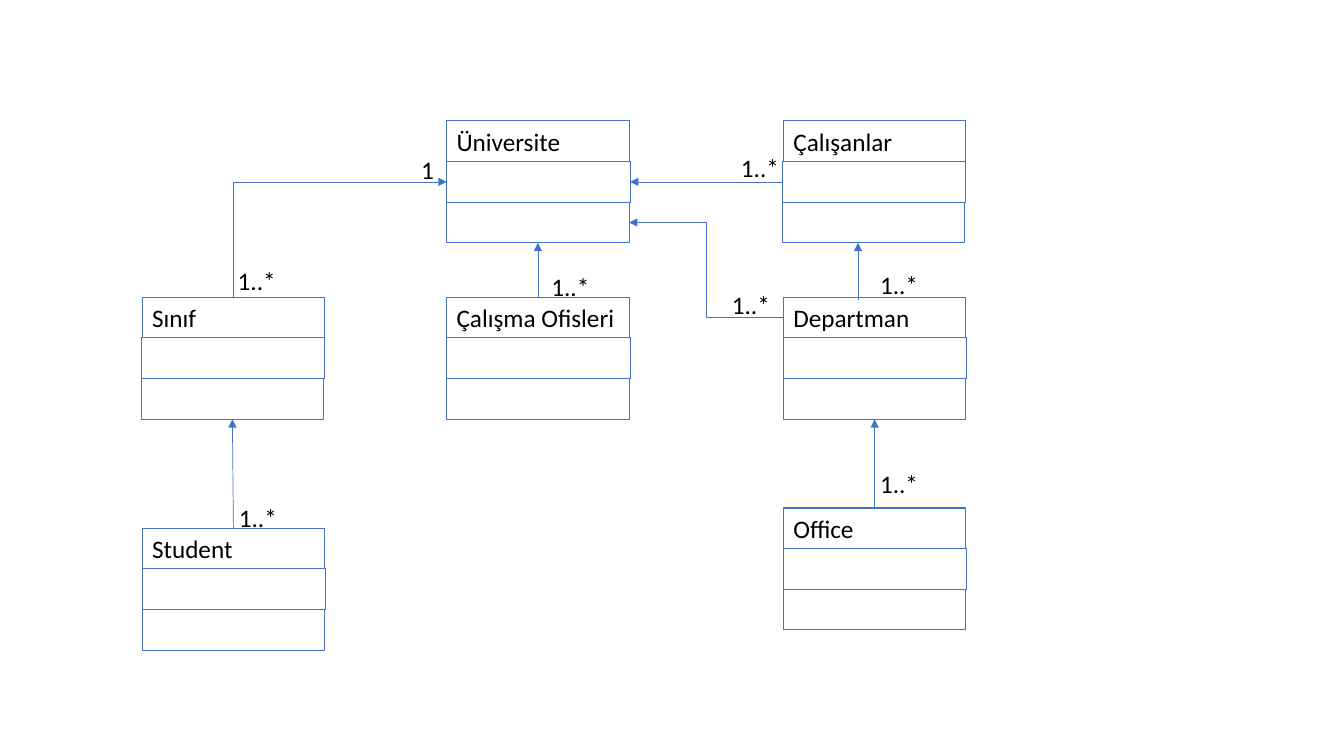
import pptx
import pptx.dml.color
import pptx.enum.shapes
import pptx.enum.text
import pptx.oxml.ns
import pptx.util
import lxml.etree
from dataclasses import dataclass

Inches = pptx.util.Inches
Pt = pptx.util.Pt
qn = pptx.oxml.ns.qn
CONNECTOR = pptx.enum.shapes.MSO_CONNECTOR


@dataclass(frozen=True)
class Theme:
    font: str = "Calibri"
    size: float = 18
    text: str = "000000"
    line: str = "4472C4"
    box_line: float = 0.75
    link_line: float = 0.5


THEME = Theme()
TOP, LEFT, BOTTOM, RIGHT = range(4)
HEADER, ATTRIBUTES, METHODS = range(3)
CLASS_HEIGHT = 1.21
HEADER_WIDTH = 1.81
ATTRIBUTES_WIDTH = 1.82

# name, header left, left of the two lower rows, top
CLASSES = [
    ("Üniversite", 4.43, 4.43, 1.2),
    ("Sınıf", 1.41, 1.4, 2.95),
    ("Çalışma Ofisleri", 4.43, 4.43, 2.95),
    ("Departman", 7.77, 7.77, 2.95),
    ("Office", 7.77, 7.77, 5.04),
    ("Çalışanlar", 7.77, 7.76, 1.2),
    ("Student", 1.41, 1.41, 5.24),
]

# connector kind, (class, row, side) at the start, the same at the arrowhead
LINKS = [
    (CONNECTOR.STRAIGHT, ("Student", HEADER, TOP), ("Sınıf", METHODS, BOTTOM)),
    (CONNECTOR.STRAIGHT, ("Çalışanlar", ATTRIBUTES, LEFT), ("Üniversite", ATTRIBUTES, RIGHT)),
    (CONNECTOR.STRAIGHT, ("Çalışma Ofisleri", HEADER, TOP), ("Üniversite", METHODS, BOTTOM)),
    (CONNECTOR.ELBOW, ("Departman", HEADER, LEFT), ("Üniversite", METHODS, RIGHT)),
    (CONNECTOR.STRAIGHT, ("Office", HEADER, TOP), ("Departman", METHODS, BOTTOM)),
]
CORNER_LINK = (("Sınıf", HEADER, TOP), ("Üniversite", ATTRIBUTES, LEFT))
DEPARTMENT_LINK = (8.51, 2.98, 8.51, 2.41)

# text, left, top, width
MULTIPLICITIES = [
    ("1", 4.08, 1.48, 0.33),
    ("1..*", 2.26, 2.58, 0.64),
    ("1..*", 2.27, 4.93, 0.64),
    ("1..*", 7.25, 1.46, 0.64),
    ("1..*", 8.63, 2.62, 0.64),
    ("1..*", 7.16, 2.82, 0.64),
    ("1..*", 5.37, 2.64, 0.64),
    ("1..*", 8.63, 4.6, 0.64),
]


def rgb(value):
    return pptx.dml.color.RGBColor.from_string(value)


def write(shape, text):
    frame = shape.text_frame
    frame.text = text
    frame.word_wrap = True
    frame.auto_size = pptx.enum.text.MSO_AUTO_SIZE.SHAPE_TO_FIT_TEXT
    frame.vertical_anchor = pptx.enum.text.MSO_ANCHOR.TOP
    paragraph = frame.paragraphs[0]
    paragraph.alignment = pptx.enum.text.PP_ALIGN.LEFT
    font = paragraph.runs[0].font
    font.name = THEME.font
    font.size = Pt(THEME.size)
    font.color.rgb = rgb(THEME.text)


def add_class(slide, name, header_left, rows_left, top):
    """Add a class box as a group and return its three rows."""
    group = slide.shapes.add_group_shape()
    row_height = CLASS_HEIGHT / 3
    columns = [(header_left, HEADER_WIDTH), (rows_left, ATTRIBUTES_WIDTH), (rows_left, HEADER_WIDTH)]
    rows = []
    for index, (left, width) in enumerate(columns):
        row = group.shapes.add_shape(
            pptx.enum.shapes.MSO_SHAPE.RECTANGLE,
            Inches(left), Inches(top + index * row_height), Inches(width), Inches(row_height))
        row.shadow.inherit = False
        row.fill.background()
        row.line.color.rgb = rgb(THEME.line)
        row.line.width = Pt(THEME.box_line)
        rows.append(row)
    write(rows[HEADER], name)
    return rows


def add_arrow(slide, kind, ends=(0, 0, 0, 0)):
    arrow = slide.shapes.add_connector(kind, *[Inches(value) for value in ends])
    arrow.line.color.rgb = rgb(THEME.line)
    arrow.line.width = Pt(THEME.link_line)
    properties = arrow._element.spPr
    lxml.etree.SubElement(properties.find(qn("a:ln")), qn("a:tailEnd"), type="triangle")
    lxml.etree.SubElement(properties, qn("a:effectLst"))
    return arrow


def join(arrow, boxes, start, end):
    start_name, start_row, start_side = start
    end_name, end_row, end_side = end
    arrow.begin_connect(boxes[start_name][start_row], start_side)
    arrow.end_connect(boxes[end_name][end_row], end_side)


def make_corner(arrow):
    """Turn a joined elbow into one bend: first up, then right."""
    across, rise = arrow.width, arrow.height
    left, top = arrow.left, arrow.top
    arrow.left = left + (across - rise) // 2
    arrow.top = top + (rise - across) // 2
    arrow.width, arrow.height = rise, across
    properties = arrow._element.spPr
    properties.find(qn("a:prstGeom")).set("prst", "bentConnector2")
    transform = properties.find(qn("a:xfrm"))
    for key, value in (("rot", "5400000"), ("flipH", "1"), ("flipV", "1")):
        transform.set(key, value)


def main():
    presentation = pptx.Presentation()
    presentation.slide_width = Inches(13.33)
    presentation.slide_height = Inches(7.5)
    slide = presentation.slides.add_slide(presentation.slide_layouts[6])

    boxes = {entry[0]: add_class(slide, *entry) for entry in CLASSES}
    for kind, start, end in LINKS:
        join(add_arrow(slide, kind), boxes, start, end)
    corner = add_arrow(slide, CONNECTOR.ELBOW)
    join(corner, boxes, *CORNER_LINK)
    make_corner(corner)
    add_arrow(slide, CONNECTOR.STRAIGHT, DEPARTMENT_LINK)

    for text, left, top, width in MULTIPLICITIES:
        label = slide.shapes.add_textbox(
            Inches(left), Inches(top), Inches(width), Inches(CLASS_HEIGHT / 3))
        write(label, text)

    presentation.save("out.pptx")


if __name__ == "__main__":
    main()
